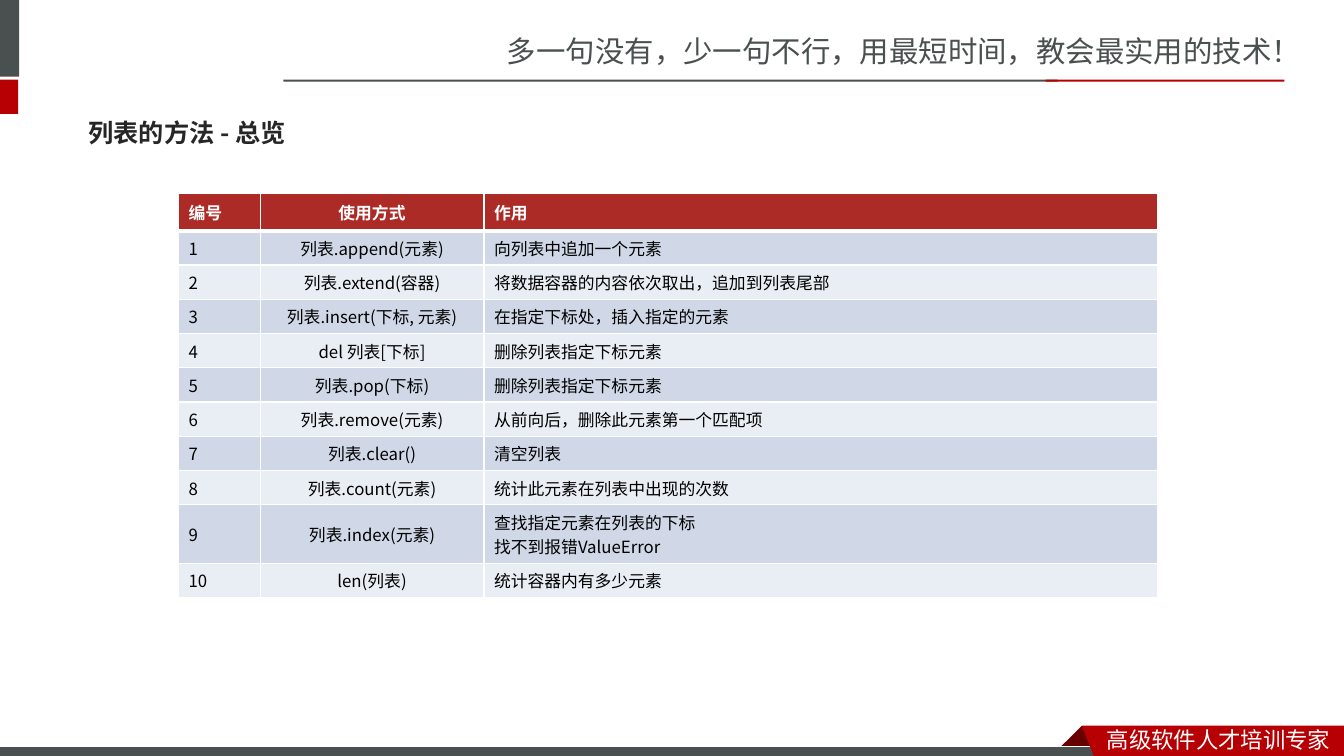
from lxml.etree import SubElement
from pptx import Presentation
from pptx.dml.color import RGBColor
from pptx.enum.shapes import MSO_SHAPE
from pptx.enum.text import MSO_ANCHOR, PP_ALIGN
from pptx.oxml.ns import qn
from pptx.util import Inches, Pt

SLATE = RGBColor(0x49, 0x50, 0x4F)
RED = RGBColor(0xB6, 0x00, 0x04)
DARK_RED = RGBColor(0x68, 0x00, 0x00)
HEADER_RED = RGBColor(0xAD, 0x2B, 0x26)
BAND_DARK = RGBColor(0xD0, 0xD8, 0xE8)
BAND_LIGHT = RGBColor(0xE9, 0xED, 0xF4)
CHARCOAL = RGBColor(0x26, 0x26, 0x26)
BLACK = RGBColor(0, 0, 0)
WHITE = RGBColor(0xFF, 0xFF, 0xFF)
SANS_SC = "Noto Sans CJK SC"
SANS_JP = "Noto Sans CJK JP"


def write(frame, text, color, typeface, formats, align=PP_ALIGN.LEFT):
    frame.text = text
    for paragraph in frame.paragraphs:
        paragraph.alignment = align
        for run in paragraph.runs:
            for name, value in formats.items():
                setattr(run.font, name, value)
            run.font.color.rgb = color
            run.font.name = typeface
            SubElement(run.font._element, qn("a:ea"), typeface=typeface)


def paint(shape, color):
    shape.shadow.inherit = False
    shape.fill.solid()
    shape.fill.fore_color.rgb = color
    shape.line.fill.background()


deck = Presentation()
deck.slide_width, deck.slide_height = Inches(13.33), Inches(7.5)
slide = deck.slides.add_slide(deck.slide_layouts[6])
shapes = slide.shapes

for left, top, width, height, color in [
    (-0.06, 0, 0.25, 0.76, SLATE),
    (-0.06, 0.79, 0.24, 0.34, RED),
    (2.81, 0.79, 7.68, 0.02, SLATE),
    (10.37, 0.79, 2.37, 0.02, RED),
    (-0.01, 7.41, 11, 0.12, SLATE),
]:
    bar = shapes.add_shape(MSO_SHAPE.RECTANGLE, Inches(left), Inches(top), Inches(width), Inches(height))
    paint(bar, color)
footer_bar = bar
footer_bar.line.color.rgb = WHITE
footer_bar.line.width = Pt(0.75)

ribbon_fold = [(10.73, 7.2), (10.95, 7.42), (10.94, 7.43), (10.52, 7.43), (10.51, 7.42)]
ribbon = [(10.73, 7.2), (13.33, 7.2), (13.33, 7.54), (10.86, 7.53)]
for outline, color in [(ribbon_fold, DARK_RED), (ribbon, RED)]:
    points = [(Inches(x), Inches(y)) for x, y in outline]
    builder = shapes.build_freeform(*points[0])
    builder.add_line_segments(points[1:], close=True)
    paint(builder.convert_to_shape(), color)
footer_bar._element.addprevious(shapes[-2]._element)

for text, left, top, width, height, color, typeface, formats, anchor in [
    ("多一句没有，少一句不行，用最短时间，教会最实用的技术！", 4.93, 0.28, 8.41, 0.47,
     SLATE, SANS_SC, {"size": Pt(21)}, MSO_ANCHOR.TOP),
    ("高级软件人才培训专家", 10.88, 7.15, 2.45, 0.37,
     WHITE, SANS_SC, {"size": Pt(16)}, MSO_ANCHOR.TOP),
    ("列表的方法 - 总览", 0.78, 1.03, 11.7, 0.57,
     CHARCOAL, SANS_JP, {"size": Pt(18), "bold": True}, MSO_ANCHOR.MIDDLE),
]:
    frame = shapes.add_textbox(Inches(left), Inches(top), Inches(width), Inches(height)).text_frame
    frame.word_wrap = True
    frame.vertical_anchor = anchor
    write(frame, text, color, typeface, formats)

methods = [
    ("列表.append(元素)", "向列表中追加一个元素"),
    ("列表.extend(容器)", "将数据容器的内容依次取出，追加到列表尾部"),
    ("列表.insert(下标, 元素)", "在指定下标处，插入指定的元素"),
    ("del 列表[下标]", "删除列表指定下标元素"),
    ("列表.pop(下标)", "删除列表指定下标元素"),
    ("列表.remove(元素)", "从前向后，删除此元素第一个匹配项"),
    ("列表.clear()", "清空列表"),
    ("列表.count(元素)", "统计此元素在列表中出现的次数"),
    ("列表.index(元素)", "查找指定元素在列表的下标\n找不到报错ValueError"),
    ("len(列表)", "统计容器内有多少元素"),
]
rows = [("编号", "使用方式", "作用")]
rows += [(str(number), usage, effect) for number, (usage, effect) in enumerate(methods, 1)]
overview = shapes.add_table(len(rows), 3, Inches(1.77), Inches(1.92), Inches(9.71), Inches(3.97)).table
for column, width in zip(overview.columns, (0.81, 2.22, 6.68)):
    column.width = Inches(width)

for row_index, row in enumerate(rows):
    is_header = row_index == 0
    line_count = row[2].count("\n") + 1
    overview.rows[row_index].height = Inches(0.37 if is_header else 0.1 + 0.24 * line_count)
    band = HEADER_RED if is_header else (BAND_LIGHT, BAND_DARK)[row_index % 2]
    for column_index, text in enumerate(row):
        cell = overview.cell(row_index, column_index)
        cell.vertical_anchor = MSO_ANCHOR.MIDDLE
        write(cell.text_frame, text, WHITE if is_header else BLACK, SANS_JP,
              {"size": Pt(12), "bold": is_header},
              PP_ALIGN.CENTER if column_index == 1 else PP_ALIGN.LEFT)
        for side in ("lnL", "lnR", "lnT", "lnB"):
            thick = (is_header and side == "lnB") or (row_index == 1 and side == "lnT")
            border = SubElement(cell._tc.get_or_add_tcPr(), qn(f"a:{side}"), w=str(Pt(3 if thick else 1)))
            SubElement(SubElement(border, qn("a:solidFill")), qn("a:srgbClr"), val=str(WHITE))
        cell.fill.solid()
        cell.fill.fore_color.rgb = band

deck.save("out.pptx")
